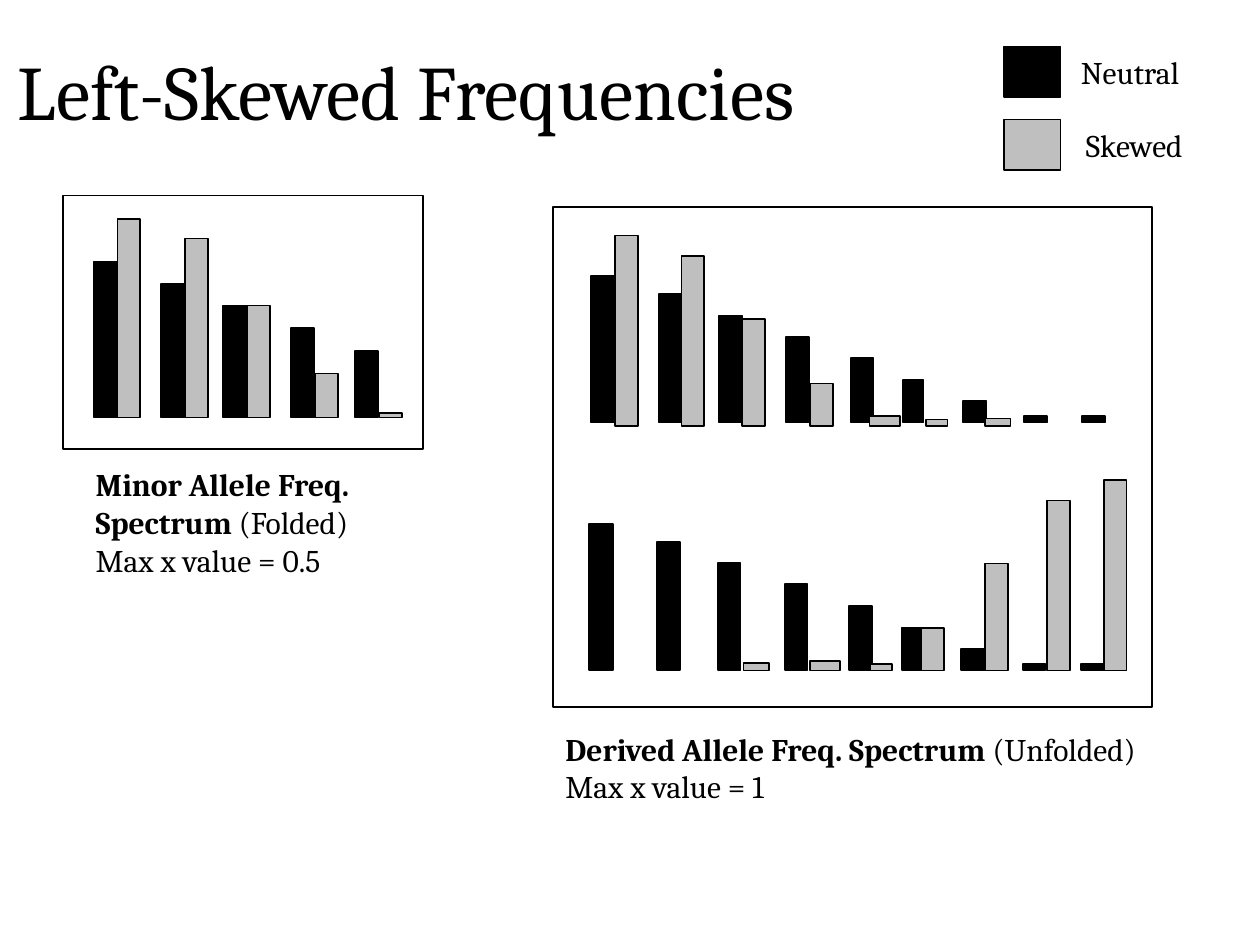
from pptx import Presentation
from pptx.dml.color import RGBColor
from pptx.enum.shapes import MSO_SHAPE as Shape
from pptx.enum.text import MSO_ANCHOR as Anchor, PP_ALIGN as Align
from pptx.util import Cm, Pt

BLACK, GREY = "000000", "BFBFBF"
BAR_W = 0.46


def rgb(value):
    return RGBColor.from_string(value)


class SlideBuilder:
    font = {"name": "Cambria", "size": Pt(18)}
    insets = {"margin_left": Cm(0.25), "margin_right": Cm(0.25),
              "margin_top": Cm(0.13), "margin_bottom": Cm(0.13)}

    def __init__(self, slide):
        self.slide = slide

    def group(self):
        return self.slide.shapes.add_group_shape().shapes

    def format_run(self, r, **extra):
        for key, value in {**self.font, **extra}.items():
            setattr(r.font, key, value)
        r.font.color.rgb = rgb(BLACK)

    def title(self, text, box):
        sp = self.slide.shapes.title
        sp.left, sp.top, sp.width, sp.height = map(Cm, box)
        tf = sp.text_frame
        tf.vertical_anchor = Anchor.MIDDLE
        p = tf.paragraphs[0]
        p.alignment, p.line_spacing = Align.LEFT, 0.9
        r = p.add_run()
        r.text = text
        self.format_run(r, size=Pt(44))

    def rect(self, shapes, box, fill=None):
        """Outlined rectangle, hollow when no fill is given."""
        sp = shapes.add_shape(Shape.RECTANGLE, *map(Cm, box))
        sp.shadow.inherit = False
        if fill:
            sp.fill.solid()
            sp.fill.fore_color.rgb = rgb(fill)
        else:
            sp.fill.background()
        sp.line.color.rgb = rgb(BLACK)
        sp.line.width = Pt(1)

    def text(self, shapes, box, lines):
        """Each line is a list of (text, bold) runs."""
        tf = shapes.add_textbox(*map(Cm, box)).text_frame
        tf.word_wrap = True
        for key, value in self.insets.items():
            setattr(tf, key, value)
        for i, line in enumerate(lines):
            p = tf.add_paragraph() if i else tf.paragraphs[0]
            for text, bold in line:
                r = p.add_run()
                r.text = text
                self.format_run(r, bold=bold)

    def bars(self, shapes, data, base, fill, shift=0):
        """Bars standing on base; data holds (left, height[, width])."""
        for left, height, *width in data:
            w = width[0] if width else BAR_W
            self.rect(shapes, (left + shift, base - height, w, height), fill)

    def legend(self, entries, left, top, pitch):
        shapes = self.group()
        for i, (label, fill, text_left) in enumerate(entries):
            y = top + i * pitch
            self.rect(shapes, (left, y, 1.14, 1.02), fill)
            self.text(shapes, (text_left, y, 2.84, 1.02), [[(label, False)]])


FOLDED_NEUTRAL = [(1.9, 3.15), (3.25, 2.69), (4.5, 2.26), (5.87, 1.8), (7.16, 1.35)]
FOLDED_SKEWED = [(2.37, 4.01), (3.73, 3.61), (4.98, 2.26), (6.35, 0.89), (7.65, 0.1)]
UNFOLDED_NEUTRAL = [(11.91, 2.95, 0.48), (13.28, 2.59), (14.5, 2.16),
                    (15.85, 1.73), (17.15, 1.3), (18.21, 0.86, 0.41),
                    (19.41, 0.43, 0.48), (20.65, 0.13), (21.82, 0.13)]
LEFT_SKEWED = [(12.4, 3.84), (13.74, 3.43), (14.96, 2.16), (16.33, 0.86),
               (17.53, 0.2, 0.61), (18.67, 0.13, 0.43), (19.86, 0.15, 0.51)]
RIGHT_SKEWED = [(14.99, 0.15, 0.51), (16.33, 0.2, 0.61), (17.55, 0.13, 0.43),
                (18.57, 0.86), (19.86, 2.16), (21.11, 3.43), (22.25, 3.84)]


def main():
    prs = Presentation()
    prs.slide_width, prs.slide_height = Cm(25.4), Cm(19.05)
    s = SlideBuilder(prs.slides.add_slide(prs.slide_layouts[5]))
    shapes = s.slide.shapes

    s.title("Left-Skewed Frequencies", (0.1, 0.33, 23.9, 3.2))
    s.legend([("Neutral", BLACK, 21.54), ("Skewed", GREY, 21.64)], 20.24, 0.94, 1.47)

    folded = s.group()
    s.bars(folded, FOLDED_NEUTRAL, 8.42, BLACK)
    s.bars(folded, FOLDED_SKEWED, 8.42, GREY)
    s.rect(shapes, (1.27, 3.94, 7.26, 5.11))

    upper = s.group()
    s.bars(upper, UNFOLDED_NEUTRAL, 8.52, BLACK)
    s.bars(upper, LEFT_SKEWED, 8.59, GREY)

    lower = s.group()
    s.bars(lower, UNFOLDED_NEUTRAL, 13.51, BLACK, shift=-0.03)
    s.bars(lower, RIGHT_SKEWED, 13.52, GREY)
    s.rect(shapes, (11.15, 4.17, 12.07, 10.08))

    s.text(shapes, (1.68, 9.25, 6.58, 2.57), [
        [("Minor Allele Freq.", True)],
        [("Spectrum", True), (" (Folded)", False)],
        [("Max x value = 0.5", False)]])
    s.text(shapes, (11.15, 14.58, 12.07, 2.57), [
        [("Derived Allele Freq. Spectrum ", True), ("(Unfolded)", False)],
        [("Max x value = 1", False)]])

    prs.save("out.pptx")


if __name__ == "__main__":
    main()
